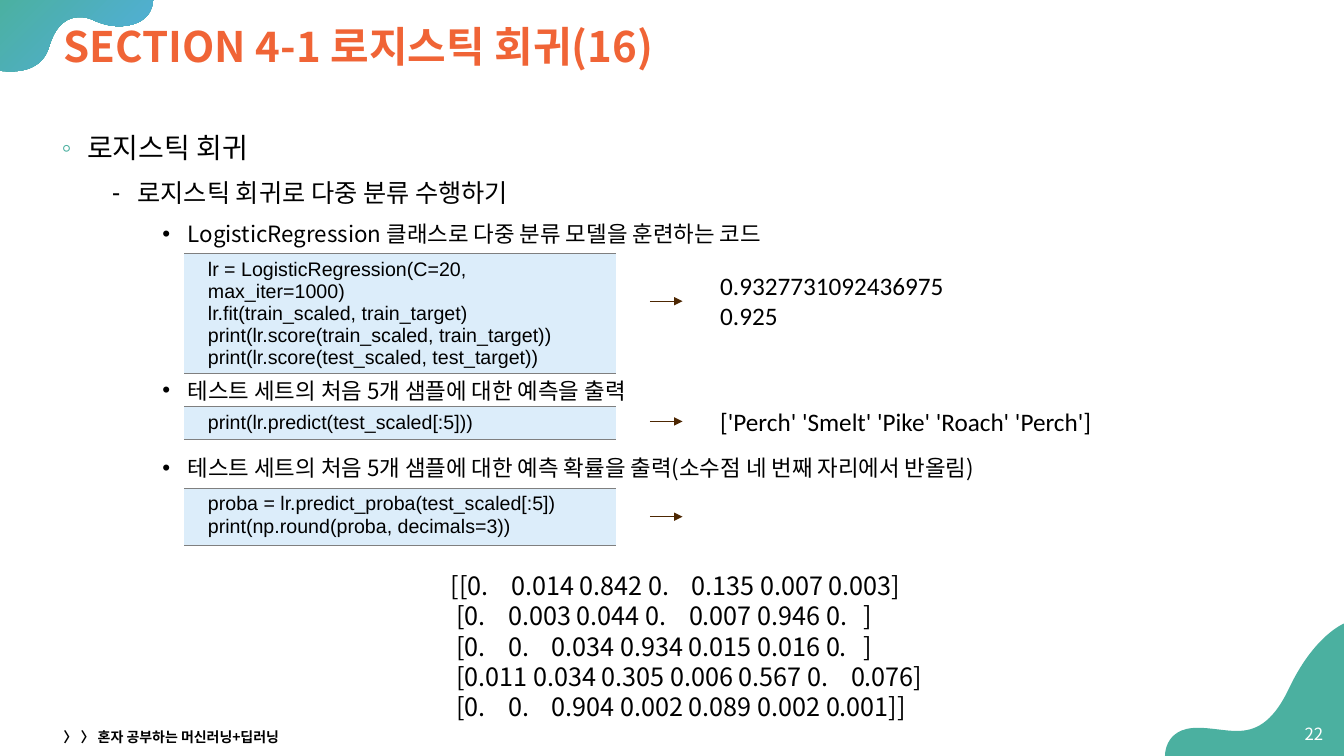
import pptx
import pptx.util
import pptx.dml.color
import pptx.enum.shapes
import pptx.enum.text
import pptx.oxml
import pptx.oxml.ns
from pptx.util import Cm

KOREAN_FONT = "Noto Sans CJK KR"
CODE_FONT = "Arial"
OUTPUT_FONT = "Calibri"
BLACK, WHITE, TEAL, BLUE = "000000", "FFFFFF", "4BB0A0", "52AEE1"
ORANGE, BROWN, GREY, PALE_BLUE = "F06436", "4D2702", "7F7F7F", "DCEDFA"

CODE_LEFT, CODE_WIDTH = 4.63, 10.9
ARROW_LEFT, ARROW_RIGHT = 16.38, 17.2
OUTPUT_LEFT = 17.9

# Corner outlines in cm: start point, then line (2 numbers) or curve (6 numbers) steps
TOP_CORNER = [
    (3.86, -0.05), (-0.03, -0.05), (-0.03, 1.78),
    (-0.03, 1.78, 0.1, 1.8, 0.28, 1.8), (0.61, 1.8, 1.09, 1.7, 1.24, 1.17),
    (1.42, 0.58, 1.73, 0.43, 2.01, 0.43), (2.13, 0.43, 2.26, 0.46, 2.36, 0.51),
    (2.57, 0.61, 2.79, 0.66, 3, 0.66), (3.48, 0.66, 3.86, 0.43, 3.86, -0.05),
]
BOTTOM_CORNER = [
    (33.9, 15.7), (33.9, 15.7, 33.12, 15.98, 32.46, 17.4),
    (32.05, 18.24, 31.62, 18.42, 31.17, 18.42), (30.86, 18.42, 30.53, 18.34, 30.18, 18.34),
    (29.31, 18.34, 29.36, 19.08, 29.36, 19.08), (33.9, 19.08),
]

# Text, level, size, bullet, bullet colour, space before
BULLETS = [
    ("로지스틱 회귀", 0, 20, "◦", TEAL, 0),
    ("로지스틱 회귀로 다중 분류 수행하기", 1, 18, "⁃", BLACK, 5),
    ("LogisticRegression 클래스로 다중 분류 모델을 훈련하는 코드", 2, 16, "•", BLACK, 5),
    ("테스트 세트의 처음 5개 샘플에 대한 예측을 출력", 2, 16, "•", BLACK, 89),
    ("테스트 세트의 처음 5개 샘플에 대한 예측 확률을 출력(소수점 네 번째 자리에서 반올림)",
     2, 16, "•", BLACK, 32.5),
]

# Top, height, arrow height, code lines
CODE_BLOCKS = [
    (6.38, 2.62, 7.59, ["lr = LogisticRegression(C=20, max_iter=1000)",
                        "lr.fit(train_scaled, train_target)",
                        "print(lr.score(train_scaled, train_target))",
                        "print(lr.score(test_scaled, test_target))"]),
    (10.24, 0.84, 10.62, ["print(lr.predict(test_scaled[:5]))"]),
    (12.3, 1.45, 13.02, ["proba = lr.predict_proba(test_scaled[:5])",
                         "print(np.round(proba, decimals=3))"]),
]

PROBABILITIES = [
    "[[0.    0.014 0.842 0.    0.135 0.007 0.003]",
    " [0.    0.003 0.044 0.    0.007 0.946 0.   ]",
    " [0.    0.    0.034 0.934 0.015 0.016 0.   ]",
    " [0.011 0.034 0.305 0.006 0.567 0.    0.076]",
    " [0.    0.    0.904 0.002 0.089 0.002 0.001]]",
]


def color(value):
    return pptx.dml.color.RGBColor.from_string(value)


def make_xml(tag, content="", **attributes):
    """Make a drawing element with the given inner markup."""
    listed = "".join(f' {name}="{value}"' for name, value in attributes.items())
    namespace = pptx.oxml.ns.nsdecls("a")
    return pptx.oxml.parse_xml(f"<a:{tag} {namespace}{listed}>{content}</a:{tag}>")


def add_xml(parent, tag, content="", **attributes):
    parent.append(make_xml(tag, content, **attributes))


def solid(value):
    return f'<a:solidFill><a:srgbClr val="{value}"/></a:solidFill>'


def place(shape, left, top, width, height):
    shape.left, shape.top, shape.width, shape.height = map(Cm, (left, top, width, height))


def set_font(paragraph, name, size, text_color=BLACK, bold=False):
    font = paragraph.font
    font.name, font.size, font.bold = name, pptx.util.Pt(size), bold
    font.color.rgb = color(text_color)
    properties = paragraph._p.pPr.find(pptx.oxml.ns.qn("a:defRPr"))
    add_xml(properties, "ea", typeface=name)


def write_lines(frame, lines, name, size, text_color=BLACK, bold=False):
    for index, line in enumerate(lines):
        paragraph = frame.add_paragraph() if index else frame.paragraphs[0]
        paragraph.text = line
        set_font(paragraph, name, size, text_color, bold)


def add_text(slide, box, lines, name, size, text_color=BLACK, bold=False, middle=False):
    shape = slide.shapes.add_textbox(*map(Cm, box))
    frame = shape.text_frame
    frame.word_wrap = True
    if middle:
        frame.vertical_anchor = pptx.enum.text.MSO_ANCHOR.MIDDLE
    write_lines(frame, lines, name, size, text_color, bold)
    return frame


def add_corner(slide, outline):
    """Draw a closed outline, then bend the segments that have control points."""
    anchors = [(Cm(step[-2]), Cm(step[-1])) for step in outline]
    builder = slide.shapes.build_freeform(*anchors[0])
    builder.add_line_segments(anchors[1:], close=True)
    shape = builder.convert_to_shape()
    segments = list(shape._element.iter(pptx.oxml.ns.qn("a:lnTo")))
    for segment, step in zip(segments, outline[1:]):
        if len(step) == 6:
            points = "".join(f'<a:pt x="{Cm(x) - shape.left}" y="{Cm(y) - shape.top}"/>'
                             for x, y in zip(step[::2], step[1::2]))
            segment.getparent().replace(segment, make_xml("cubicBezTo", points))
    shape.shadow.inherit = False
    shape.line.fill.background()
    return shape


def add_bullets(frame):
    for index, (text, level, size, bullet, bullet_color, before) in enumerate(BULLETS):
        paragraph = frame.add_paragraph() if index else frame.paragraphs[0]
        paragraph.text, paragraph.level = text, level
        properties = paragraph._p.get_or_add_pPr()
        properties.set("marL", str(Cm(0.64 + 1.27 * level)))
        properties.set("indent", str(Cm(-0.64)))
        add_xml(properties, "buClr", f'<a:srgbClr val="{bullet_color}"/>')
        add_xml(properties, "buFont", typeface=CODE_FONT)
        add_xml(properties, "buChar", char=bullet)
        paragraph.line_spacing = 1.2
        paragraph.space_before = pptx.util.Pt(before)
        set_font(paragraph, KOREAN_FONT, size)


def add_code(slide, top, height, lines):
    box = map(Cm, (CODE_LEFT, top, CODE_WIDTH, height))
    table = slide.shapes.add_table(1, 1, *box).table
    table.first_row = table.horz_banding = False
    cell = table.cell(0, 0)
    cell.margin_left = Cm(0.61)
    for side in ("lnT", "lnB"):
        add_xml(cell._tc.get_or_add_tcPr(), side, solid(GREY), w=pptx.util.Pt(1))
    cell.fill.solid()
    cell.fill.fore_color.rgb = color(PALE_BLUE)
    write_lines(cell.text_frame, lines, CODE_FONT, 14)


def add_arrow(slide, height):
    arrow = slide.shapes.add_connector(pptx.enum.shapes.MSO_CONNECTOR.STRAIGHT,
                                       Cm(ARROW_LEFT), Cm(height), Cm(ARROW_RIGHT), Cm(height))
    arrow.line.color.rgb = color(BROWN)
    arrow.line.width = pptx.util.Pt(0.75)
    add_xml(arrow.line._get_or_add_ln(), "tailEnd", type="triangle")
    add_xml(arrow._element.spPr, "effectLst")


def main():
    presentation = pptx.Presentation()
    presentation.slide_width, presentation.slide_height = Cm(33.87), Cm(19.05)
    slide = presentation.slides.add_slide(presentation.slide_layouts[1])
    title, body = slide.placeholders

    # Corner decorations, behind the text
    top_corner = add_corner(slide, TOP_CORNER)
    top_corner.fill.gradient()
    top_corner.fill.gradient_angle = 315
    for stop, value, position in zip(top_corner.fill.gradient_stops, (TEAL, BLUE), (0, 1)):
        stop.color.rgb, stop.position = color(value), position
    bottom_corner = add_corner(slide, BOTTOM_CORNER)
    bottom_corner.fill.solid()
    bottom_corner.fill.fore_color.rgb = color(TEAL)
    for index, corner in enumerate((top_corner, bottom_corner)):
        slide.shapes._spTree.insert(2 + index, corner._element)

    # Title and bullet list
    place(title, 1.35, 0.3, 31.34, 1.85)
    write_lines(title.text_frame, ["SECTION 4-1 로지스틱 회귀(16)"], KOREAN_FONT, 30, ORANGE, True)
    heading = title.text_frame.paragraphs[0]
    heading.alignment, heading.line_spacing = pptx.enum.text.PP_ALIGN.LEFT, 0.9
    place(body, 1.3, 3, 31.34, 15.09)
    add_bullets(body.text_frame)
    for placeholder in (title, body):
        placeholder.text_frame.auto_size = pptx.enum.text.MSO_AUTO_SIZE.NONE

    # Code and its output
    for top, height, arrow_height, lines in CODE_BLOCKS:
        add_code(slide, top, height, lines)
        add_arrow(slide, arrow_height)
    add_text(slide, (OUTPUT_LEFT, 6.68, 6.83, 1.8), ["0.9327731092436975", "0.925"], OUTPUT_FONT, 18)
    add_text(slide, (OUTPUT_LEFT, 10.12, 11.71, 1.02),
             ["['Perch' 'Smelt' 'Pike' 'Roach' 'Perch']"], OUTPUT_FONT, 18)
    add_text(slide, (11.11, 14.25, 20.93, 4.11), PROBABILITIES, KOREAN_FONT, 18)

    # Footer and page number
    add_text(slide, (1.35, 18.26, 11.43, 0.61), ["〉 〉 혼자 공부하는 머신러닝+딥러닝"],
             KOREAN_FONT, 10, bold=True, middle=True)
    number = add_text(slide, (32.48, 17.98, 1.12, 1.02), ["22"], KOREAN_FONT, 12, WHITE, middle=True)
    number.paragraphs[0].alignment = pptx.enum.text.PP_ALIGN.RIGHT
    presentation.save("out.pptx")


if __name__ == "__main__":
    main()
